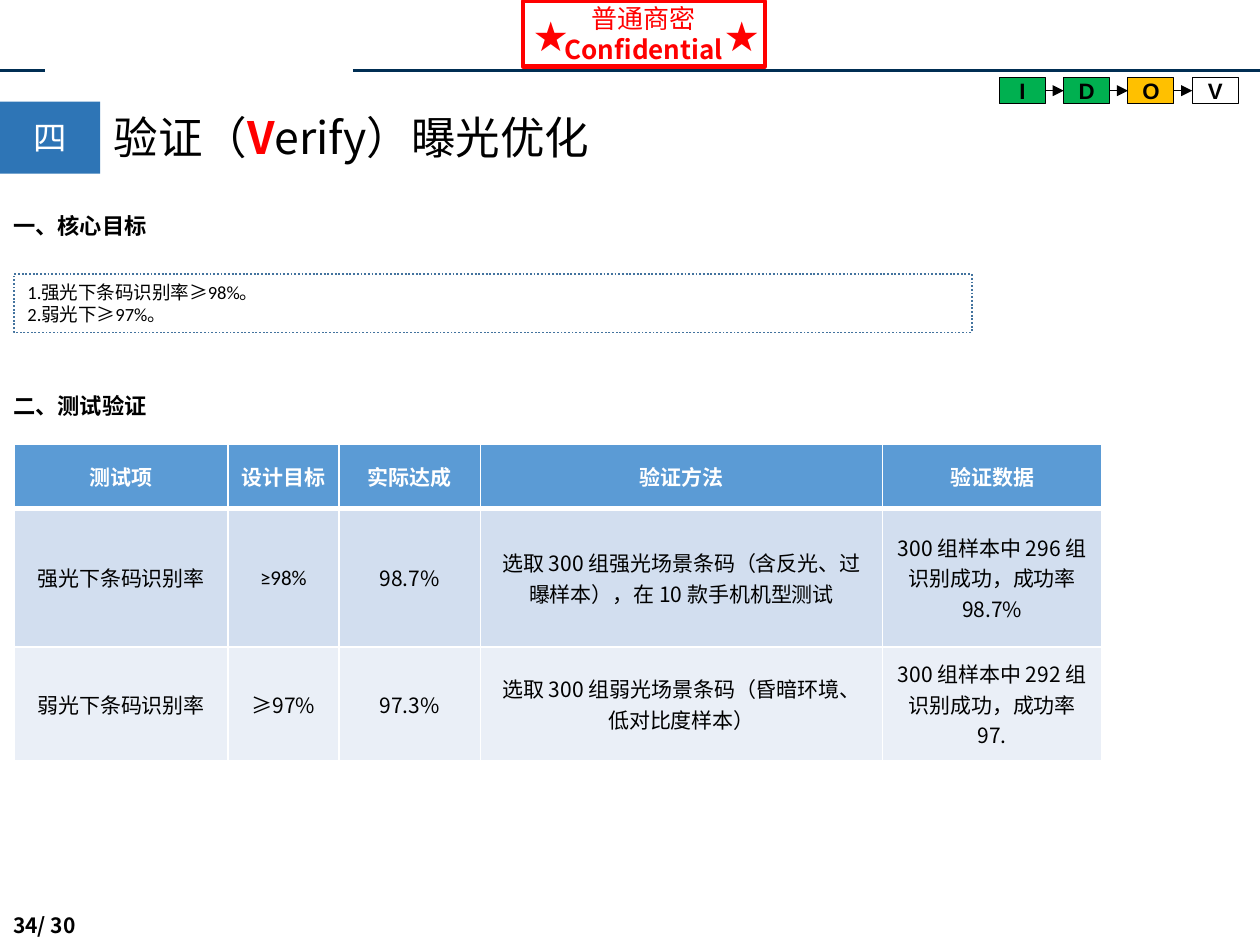
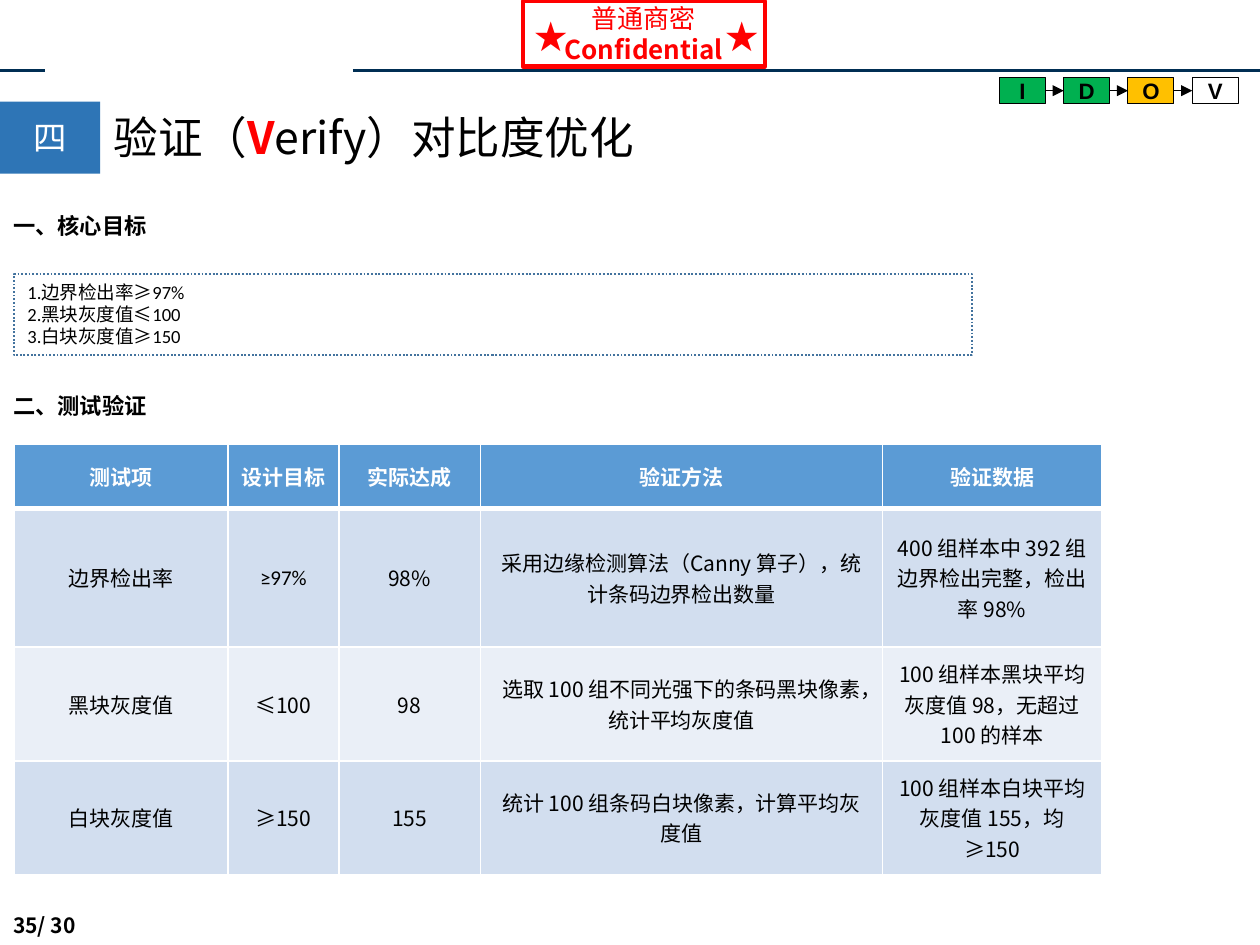
"""Build the two verification slides: exposure and contrast optimisation."""
from lxml import etree
from pptx import Presentation
from pptx import util as u
from pptx.dml.color import RGBColor
from pptx.enum import dml, shapes, text
from pptx.oxml.ns import qn

COLOURS = {
    "ink": "000000", "white": "FFFFFF", "red": "FF0000", "rule": "002E53",
    "done": "00B050", "current": "FFC000", "badge": "2E75B6", "dots": "43739E",
    "header": "5B9BD5", "odd": "D2DEEF", "even": "EAEFF7",
}
RGB = {name: RGBColor.from_string(value) for name, value in COLOURS.items()}
CJK = "Noto Sans CJK SC"
LEFT, CENTRE = text.PP_ALIGN.LEFT, text.PP_ALIGN.CENTER
COLUMNS = [16.97, 8.8, 11.24, 31.92, 17.39]
ROWS = [6.79, 14.71, 12.02, 12.02]
HEADER = ["测试项", "设计目标", "实际达成", "验证方法", "验证数据"]
TOPICS = [
    {
        "page": "34/ 30",
        "topic": "曝光优化",
        "goals": ["1.强光下条码识别率≥98%。", "2.弱光下≥97%。"],
        "tests": [
            ["强光下条码识别率", "≥98%", "98.7%",
             "选取 300 组强光场景条码（含反光、过曝样本），在 10 款手机机型测试",
             "300 组样本中 296 组识别成功，成功率 98.7%"],
            ["弱光下条码识别率", "≥97%", "97.3%",
             "选取 300 组弱光场景条码（昏暗环境、低对比度样本）",
             "300 组样本中 292 组识别成功，成功率 97."],
        ],
    },
    {
        "page": "35/ 30",
        "topic": "对比度优化",
        "goals": ["1.边界检出率≥97%", "2.黑块灰度值≤100", "3.白块灰度值≥150"],
        "tests": [
            ["边界检出率", "≥97%", "98%",
             "采用边缘检测算法（Canny 算子），统计条码边界检出数量",
             "400 组样本中 392 组边界检出完整，检出率 98%"],
            ["黑块灰度值", "≤100", "98",
             "选取 100 组不同光强下的条码黑块像素，统计平均灰度值",
             "100 组样本黑块平均灰度值 98，无超过 100 的样本"],
            ["白块灰度值", "≥150", "155",
             "统计 100 组条码白块像素，计算平均灰度值",
             "100 组样本白块平均灰度值 155，均≥150"],
        ],
    },
]

prs = Presentation()
prs.slide_width, prs.slide_height = u.Inches(9.43), u.Inches(7.07)


def share(x, y, w, h):
    """Turn percentages of the slide's width and height into lengths."""
    return [u.Emu(round(part * side / 100)) for part, side in
            zip((x, y, w, h), (prs.slide_width, prs.slide_height) * 2)]


def write(frame, lines, size, colour="ink", font=CJK, bold=False, align=LEFT):
    """Fill a text frame with lines, each a string or a list of (text, colour) runs."""
    frame.word_wrap = True
    for number, line in enumerate(lines):
        paragraph = frame.add_paragraph() if number else frame.paragraphs[0]
        paragraph.alignment = align
        paragraph.space_before = u.Pt(0)
        properties = paragraph._p.get_or_add_pPr()
        properties.set("marL", "0")
        properties.set("indent", "0")
        etree.SubElement(properties, qn("a:buNone"))
        paragraph.font.size = u.Pt(size)
        paragraph.font.bold = bold
        paragraph.font.color.rgb = RGB[colour]
        paragraph.font.name = font
        etree.SubElement(properties.find(qn("a:defRPr")), qn("a:ea"), typeface=CJK)
        for words, accent in [(line, None)] if isinstance(line, str) else line:
            run = paragraph.add_run()
            run.text = words
            if accent:
                run.font.bold = True
                run.font.color.rgb = RGB[accent]


layout = prs.slide_layouts[1]
title_spot = layout.placeholders[0]
title_spot.left, title_spot.top, title_spot.width, title_spot.height = share(7.95, 10.89, 57.6, 7.07)
slides = [prs.slides.add_slide(layout) for _ in TOPICS]
canvas = slides[0].shapes
shared = []

STEP, CHIP = 5.1, 3.65
steps = [("I", "done"), ("D", "done"), ("O", "current"), ("V", None)]
boxes = [((41.5, 0.14, 19.2, 6.9), ["普通商密", [("Confidential", "red")]],
          14, "red", CJK, False, None, "red", 2.25),
         ((0, 10.75, 7.95, 7.64), ["四"], 18, "white", CJK, False, "badge", None, 0)]
boxes += [((79.32 + STEP * i, 8.2, CHIP, 2.8), [letter], 12, "ink", "Arial", True, fill, "ink", 0.5)
          for i, (letter, fill) in enumerate(steps)]
for spot, lines, size, colour, font, bold, fill, edge, weight in boxes:
    box = canvas.add_shape(shapes.MSO_SHAPE.RECTANGLE, *share(*spot))
    box.shadow.inherit = False
    if fill:
        box.fill.solid()
        box.fill.fore_color.rgb = RGB[fill]
    else:
        box.fill.background()
    if edge:
        box.line.color.rgb = RGB[edge]
        box.line.width = u.Pt(weight)
    else:
        box.line.fill.background()
    frame = box.text_frame
    frame.margin_left = frame.margin_right = frame.margin_top = frame.margin_bottom = 0
    write(frame, lines, size, colour, font, bold, CENTRE)
    shared.append(box)

rules = [(28, 100, 7.5, "rule", 1.5), (0, 3.6, 7.5, "rule", 1.5)]
rules += [(79.32 + STEP * i + CHIP, 79.32 + STEP * (i + 1), 9.6, "ink", 0.5) for i in range(3)]
for start, end, y, colour, weight in rules:
    rule = canvas.add_connector(shapes.MSO_CONNECTOR.STRAIGHT, *share(start, y, end, y))
    rule.line.color.rgb = RGB[colour]
    rule.line.width = u.Pt(weight)
    if colour == "ink":
        etree.SubElement(rule.get_or_add_ln(), qn("a:tailEnd"), type="triangle")
    etree.SubElement(rule.element.spPr, qn("a:effectLst"))
    shared.append(rule)

labels = [((41.36, 0.99, 5.2, 5.66), "★", 18, "red", CJK, False),
          ((56.52, 0.99, 4.5, 5.66), "★", 18, "red", CJK, False),
          ((0, 21.78, 17.71, 4.5), "一、核心目标", 12, "ink", "Calibri", True),
          ((0, 40.8, 95.76, 4.67), "二、测试验证", 12, "ink", "Calibri", True)]
for spot, words, size, colour, font, bold in labels:
    label = canvas.add_textbox(*share(*spot))
    write(label.text_frame, [words], size, colour, font, bold)
    shared.append(label)

for part in shared:
    layout.shapes.element.append(part.element)

for slide, content in zip(slides, TOPICS):
    title, goals = slide.placeholders
    title.text_frame.auto_size = text.MSO_AUTO_SIZE.NONE
    write(title.text_frame,
          [[("验证（", None), ("V", "red"), ("erify）" + content["topic"], None)]], 24)

    goals.left, goals.top, goals.width, goals.height = share(
        1.12, 29, 76, 1.4 + 2.4 * len(content["goals"]))
    goals.line.color.rgb = RGB["dots"]
    goals.line.width = u.Pt(1)
    goals.line.dash_style = dml.MSO_LINE.ROUND_DOT
    goals.text_frame.auto_size = text.MSO_AUTO_SIZE.NONE
    write(goals.text_frame, content["goals"], 10, font="Calibri")

    page = slide.shapes.add_textbox(*share(0, 95.9, 10.92, 4.1))
    write(page.text_frame, [content["page"]], 11.3, bold=True)

    grid = [HEADER] + content["tests"]
    heights = ROWS[:len(grid)]
    results = slide.shapes.add_table(
        len(grid), len(COLUMNS), *share(1.12, 47, sum(COLUMNS), sum(heights))).table
    for column, width in zip(results.columns, COLUMNS):
        column.width = share(0, 0, width, 0)[2]
    for r, (row, height) in enumerate(zip(grid, heights)):
        results.rows[r].height = share(0, 0, 0, height)[3]
        for c, words in enumerate(row):
            cell = results.cell(r, c)
            cell.vertical_anchor = text.MSO_ANCHOR.MIDDLE
            cell.fill.solid()
            cell.fill.fore_color.rgb = RGB["header" if r == 0 else "odd" if r % 2 else "even"]
            write(cell.text_frame, [words], 11.3, "ink" if r else "white",
                  "Calibri" if (r, c) == (1, 1) else CJK, r == 0, CENTRE)
            for place, side in enumerate(("lnL", "lnR", "lnT", "lnB")):
                thick = (r, side) in ((0, "lnB"), (1, "lnT"))
                border = etree.Element(qn("a:" + side), w=str(u.Pt(3 if thick else 1)))
                paint = etree.SubElement(border, qn("a:solidFill"))
                etree.SubElement(paint, qn("a:srgbClr"), val=COLOURS["white"])
                cell._tc.get_or_add_tcPr().insert(place, border)

prs.save("out.pptx")
